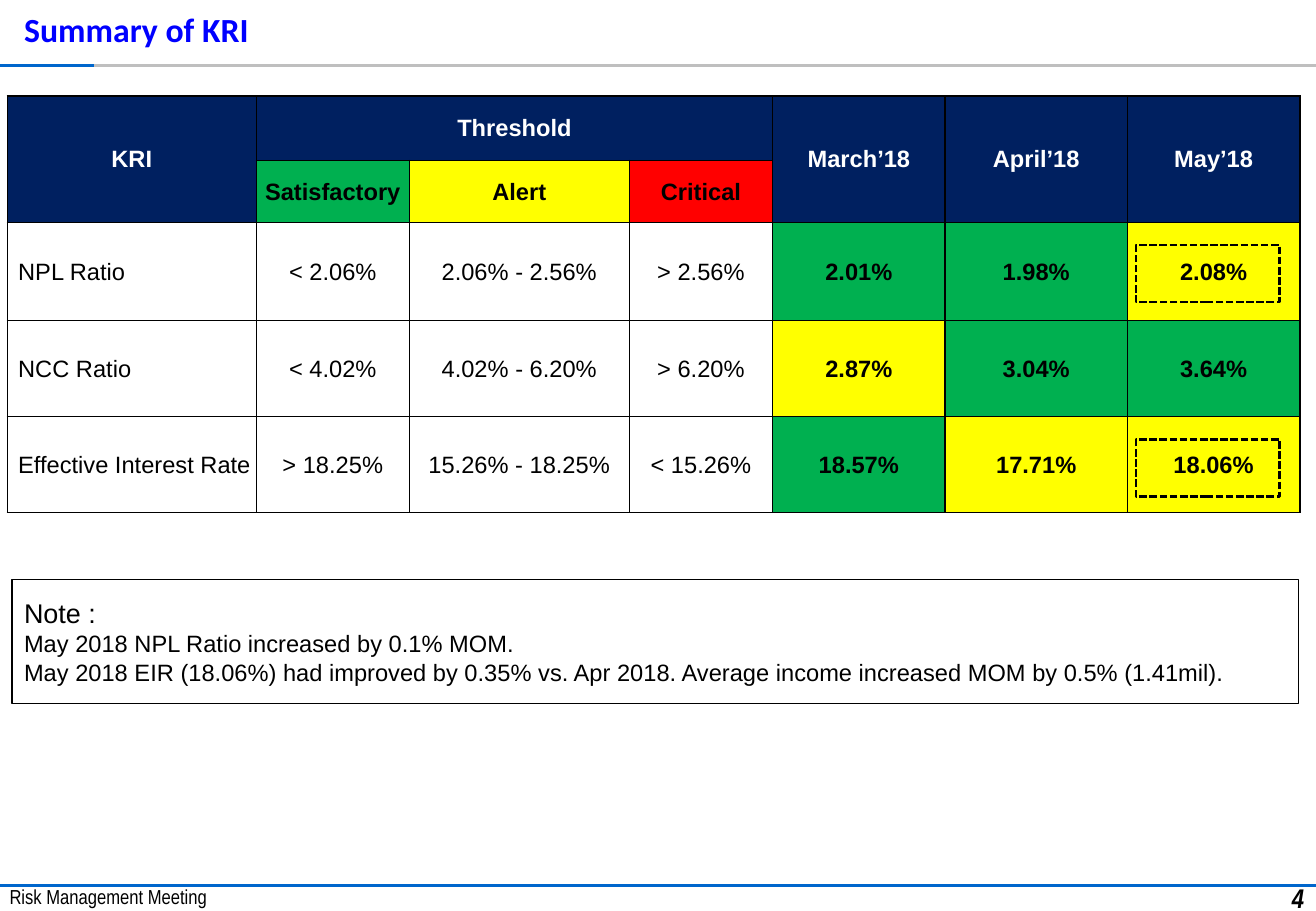
from dataclasses import dataclass
from itertools import accumulate

from lxml.etree import SubElement
from pptx import Presentation
from pptx.dml.color import RGBColor
from pptx.enum.dml import MSO_LINE
from pptx.enum.shapes import MSO_CONNECTOR, MSO_SHAPE
from pptx.enum.text import MSO_ANCHOR, PP_ALIGN
from pptx.oxml.ns import qn
from pptx.util import Emu, Inches, Pt

BLACK = RGBColor(0x00, 0x00, 0x00)
WHITE = RGBColor(0xFF, 0xFF, 0xFF)
NAVY = RGBColor(0x00, 0x20, 0x60)
GREEN = RGBColor(0x00, 0xB0, 0x50)
YELLOW = RGBColor(0xFF, 0xFF, 0x00)
RED = RGBColor(0xFF, 0x00, 0x00)
TITLE_BLUE = RGBColor(0x00, 0x00, 0xFF)
RULE_BLUE = RGBColor(0x00, 0x66, 0xCC)
RULE_GREY = RGBColor(0xBF, 0xBF, 0xBF)

WIDTH, HEIGHT = Inches(10.83), Inches(7.5)


@dataclass
class Style:
    size: int
    font: str = "Arial"
    color: RGBColor = BLACK
    bold: bool = False
    italic: bool = False


@dataclass
class Box:
    """Left, top, width and height in percent of the slide."""
    left: float
    top: float
    width: float
    height: float

    def emu(self) -> tuple[Emu, Emu, Emu, Emu]:
        return across(self.left), down(self.top), across(self.width), down(self.height)


@dataclass
class Rule:
    start: float
    end: float
    top: float
    color: RGBColor


@dataclass
class Label:
    box: Box
    text: str
    style: Style
    align: PP_ALIGN = PP_ALIGN.LEFT
    anchor: MSO_ANCHOR = MSO_ANCHOR.TOP
    line_spacing: float = 1.0


@dataclass
class Header:
    row: int
    col: int
    text: str
    fill: RGBColor = NAVY
    color: RGBColor = WHITE
    rows: int = 1
    cols: int = 1


@dataclass
class Indicator:
    name: str
    thresholds: list[str]
    months: list[tuple[str, RGBColor]]


COL_WIDTHS = [18.93, 11.63, 16.71, 10.9, 13.11, 13.85, 13.11]
ROW_HEIGHTS = [7.07, 6.8, 10.8, 10.53, 10.53]
TABLE = Box(0.55, 10.53, sum(COL_WIDTHS), sum(ROW_HEIGHTS))
ROW_TOPS = list(accumulate(ROW_HEIGHTS, initial=TABLE.top))
NOTE_BOX = Box(0.92, 63.6, 97.78, 13.6)

RULES = [
    Rule(0, 100, 97.2, RULE_BLUE),
    Rule(0, 100, 7.2, RULE_GREY),
    Rule(0, 7.11, 7.2, RULE_BLUE),
]
LABELS = [
    Label(Box(-0.18, 96.4, 29.27, 6.93), "Risk Management Meeting", Style(12, "Arial Narrow")),
    Label(Box(92.15, 96.13, 7.85, 6.93), "4",
          Style(16, "Arial Narrow", bold=True, italic=True), PP_ALIGN.RIGHT),
    Label(Box(0.92, 0.67, 94.18, 5.47), "Summary of KRI",
          Style(20, "Calibri", TITLE_BLUE, bold=True),
          anchor=MSO_ANCHOR.MIDDLE, line_spacing=0.93),
]
HEADERS = [
    Header(0, 0, "KRI", rows=2),
    Header(0, 1, "Threshold", cols=3),
    Header(0, 4, "March’18", rows=2),
    Header(0, 5, "April’18", rows=2),
    Header(0, 6, "May’18", rows=2),
    Header(1, 1, "Satisfactory", GREEN, BLACK),
    Header(1, 2, "Alert", YELLOW, BLACK),
    Header(1, 3, "Critical", RED, BLACK),
]
INDICATORS = [
    Indicator("NPL Ratio", ["< 2.06%", "2.06% - 2.56%", "> 2.56%"],
              [("2.01%", GREEN), ("1.98%", GREEN), ("2.08%", YELLOW)]),
    Indicator("NCC Ratio", ["< 4.02%", "4.02% - 6.20%", "> 6.20%"],
              [("2.87%", YELLOW), ("3.04%", GREEN), ("3.64%", GREEN)]),
    Indicator("Effective Interest Rate", ["> 18.25%", "15.26% - 18.25%", "< 15.26%"],
              [("18.57%", GREEN), ("17.71%", YELLOW), ("18.06%", YELLOW)]),
]
NOTES = [
    ("Note :", Style(16)),
    ("May 2018 NPL Ratio increased by 0.1% MOM.", Style(14)),
    ("May 2018 EIR (18.06%) had improved by 0.35% vs. Apr 2018. "
     "Average income increased MOM by 0.5% (1.41mil).", Style(14)),
]


def across(percent: float) -> Emu:
    return Emu(round(WIDTH * percent / 100))


def down(percent: float) -> Emu:
    return Emu(round(HEIGHT * percent / 100))


def add_run(p, text: str, style: Style, align: PP_ALIGN = PP_ALIGN.LEFT) -> None:
    p.alignment = align
    r = p.add_run()
    r.text = text
    f = r.font
    f.name, f.size, f.bold, f.italic = style.font, Pt(style.size), style.bold, style.italic
    f.color.rgb = style.color


def add_rule(s, rule: Rule) -> None:
    line = s.shapes.add_connector(MSO_CONNECTOR.STRAIGHT, across(rule.start), down(rule.top),
                                  across(rule.end), down(rule.top))
    line.line.color.rgb = rule.color
    line.line.width = Pt(1.5)
    SubElement(line.element.spPr, qn("a:effectLst"))


def add_label(s, label: Label) -> None:
    tf = s.shapes.add_textbox(*label.box.emu()).text_frame
    tf.word_wrap = True
    tf.vertical_anchor = label.anchor
    p = tf.paragraphs[0]
    p.line_spacing = label.line_spacing
    add_run(p, label.text, label.style, label.align)


def add_outline(s, box: Box, weight: float):
    sp = s.shapes.add_shape(MSO_SHAPE.RECTANGLE, *box.emu())
    sp.shadow.inherit = False
    sp.fill.background()
    sp.line.color.rgb = BLACK
    sp.line.width = Pt(weight)
    return sp


def add_borders(cell) -> None:
    tc_pr = cell._tc.get_or_add_tcPr()
    for side in ("lnL", "lnR", "lnT", "lnB"):
        ln = SubElement(tc_pr, qn(f"a:{side}"), w=str(Pt(1)))
        fill = SubElement(ln, qn("a:solidFill"))
        SubElement(fill, qn("a:srgbClr"), val=str(BLACK))


def fill_cell(cell, text: str, style: Style, fill: RGBColor | None = None,
              align: PP_ALIGN = PP_ALIGN.CENTER) -> None:
    cell.vertical_anchor = MSO_ANCHOR.MIDDLE
    cell.margin_left = Inches(0.09 if align == PP_ALIGN.LEFT else 0.01)
    cell.margin_right = cell.margin_top = Inches(0.01)
    cell.margin_bottom = 0
    if fill is not None:
        cell.fill.solid()
        cell.fill.fore_color.rgb = fill
    add_run(cell.text_frame.paragraphs[0], text, style, align)


def add_kri_table(s) -> None:
    table = s.shapes.add_table(len(ROW_HEIGHTS), len(COL_WIDTHS), *TABLE.emu()).table
    for col, width in zip(table.columns, COL_WIDTHS):
        col.width = across(width)
    for row, height in zip(table.rows, ROW_HEIGHTS):
        row.height = down(height)
    for cell in table.iter_cells():
        add_borders(cell)
        cell.fill.background()
    for h in HEADERS:
        cell = table.cell(h.row, h.col)
        if h.rows * h.cols > 1:
            cell.merge(table.cell(h.row + h.rows - 1, h.col + h.cols - 1))
        fill_cell(cell, h.text, Style(14, color=h.color, bold=True), h.fill)
    for row, kri in enumerate(INDICATORS, start=2):
        fill_cell(table.cell(row, 0), kri.name, Style(14), align=PP_ALIGN.LEFT)
        for col, text in enumerate(kri.thresholds, start=1):
            fill_cell(table.cell(row, col), text, Style(14))
        for col, (text, fill) in enumerate(kri.months, start=4):
            fill_cell(table.cell(row, col), text, Style(14, bold=True), fill)


def add_note(s) -> None:
    tf = add_outline(s, NOTE_BOX, 0.75).text_frame
    tf.word_wrap = True
    tf.vertical_anchor = MSO_ANCHOR.MIDDLE
    for i, (text, style) in enumerate(NOTES):
        add_run(tf.add_paragraph() if i else tf.paragraphs[0], text, style)


def add_alert_frames(s) -> None:
    """Dash a frame round each latest month that stands at alert."""
    for top, kri in zip(ROW_TOPS[2:], INDICATORS):
        if kri.months[-1][1] == YELLOW:
            frame = add_outline(s, Box(86.33, top + 2.5, 10.9, 6.27), 1.5)
            frame.line.dash_style = MSO_LINE.SQUARE_DOT


def main() -> None:
    prs = Presentation()
    prs.slide_width, prs.slide_height = WIDTH, HEIGHT
    s = prs.slides.add_slide(prs.slide_layouts[6])
    for rule in RULES:
        add_rule(s, rule)
    for label in LABELS:
        add_label(s, label)
    add_kri_table(s)
    add_note(s)
    add_alert_frames(s)
    prs.save("out.pptx")


if __name__ == "__main__":
    main()
